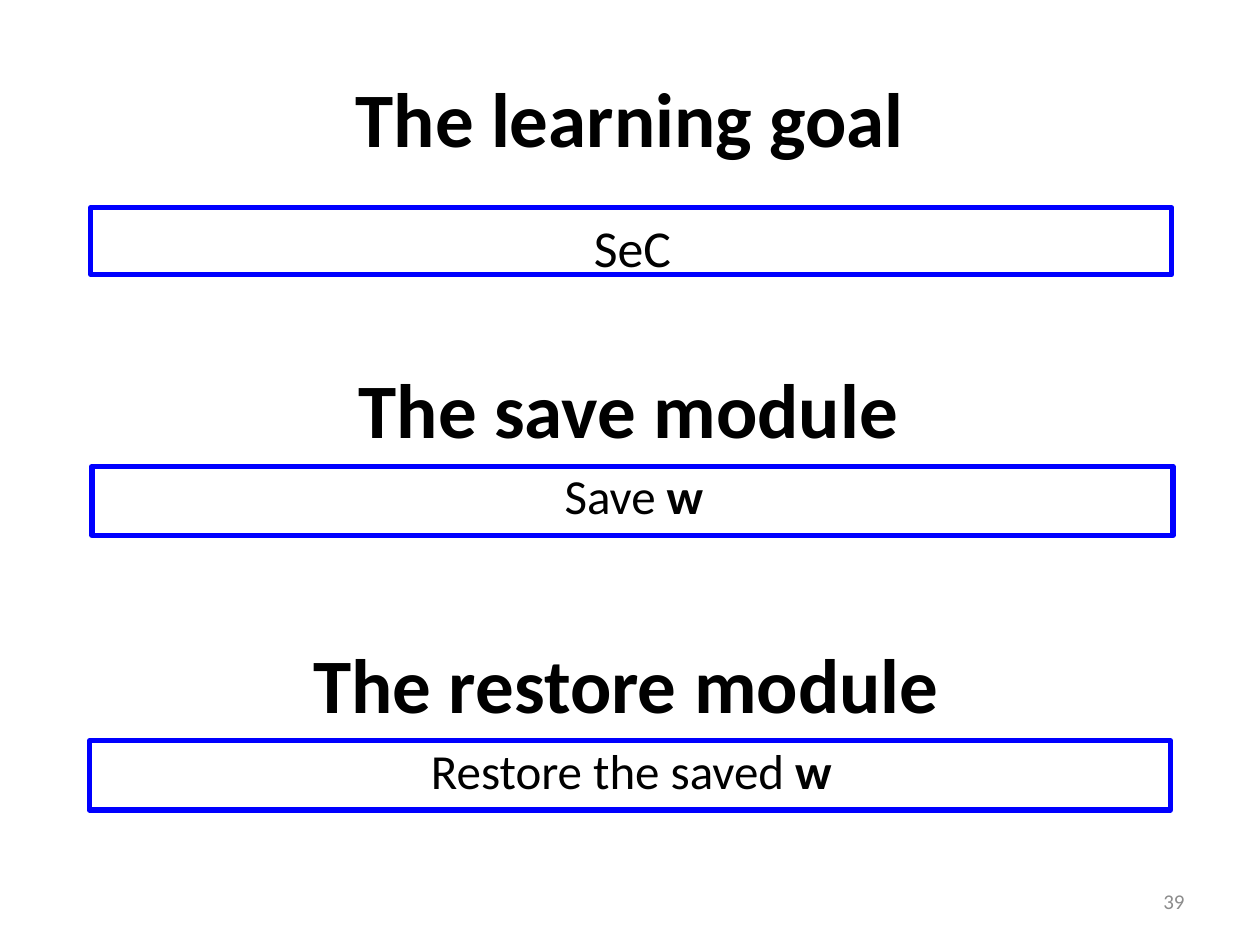
from pptx import Presentation
from pptx.dml.color import RGBColor
from pptx.enum.shapes import MSO_SHAPE
from pptx.enum.text import MSO_ANCHOR, PP_ALIGN
from pptx.util import Inches, Pt

BLACK = RGBColor(0, 0, 0)
BLUE = RGBColor(0, 0, 255)
GRAY = RGBColor(0x8C, 0x8C, 0x8C)
FONT = "Calibri"


def add_text(slide, box, parts, size, color=BLACK, align=PP_ALIGN.CENTER,
             anchor=MSO_ANCHOR.TOP, spacing=None):
    frame = slide.shapes.add_textbox(*map(Inches, box)).text_frame
    frame.word_wrap = True
    frame.vertical_anchor = anchor
    line = frame.paragraphs[0]
    line.alignment = align
    if spacing:
        line.line_spacing = spacing
    for text, bold in parts:
        run = line.add_run()
        run.text = text
        run.font.name = FONT
        run.font.size = Pt(size)
        run.font.bold = bold
        run.font.color.rgb = color


def add_title(slide, box, text, spacing=None):
    add_text(slide, box, [(text, True)], 44,
             anchor=MSO_ANCHOR.MIDDLE, spacing=spacing)


def add_frame(slide, box):
    frame = slide.shapes.add_shape(MSO_SHAPE.RECTANGLE, *map(Inches, box))
    frame.shadow.inherit = False
    frame.fill.background()
    frame.line.color.rgb = BLUE
    frame.line.width = Pt(3)


def add_module(slide, left, top, title, text):
    add_title(slide, (left - 0.04, top - 1.14, 8.62, 1.45), title, 0.9)
    add_text(slide, (left, top, 8.62, 0.63), [(text, False), ("w", True)],
             28, spacing=0.9)
    add_frame(slide, (left + 0.01, top, 8.58, 0.55))


def main():
    deck = Presentation()
    deck.slide_width = Inches(10)
    deck.slide_height = Inches(7.5)
    slide = deck.slides.add_slide(deck.slide_layouts[6])

    add_title(slide, (0.5, 0.3, 9, 1.25), "The learning goal")
    add_text(slide, (0.71, 1.66, 8.62, 0.51), [("SeC", False)], 29.6)
    add_frame(slide, (0.72, 1.65, 8.58, 0.53))

    add_module(slide, 0.72, 3.7, "The save module", "Save ")
    add_module(slide, 0.7, 5.88, "The restore module", "Restore the saved ")

    add_text(slide, (7.17, 6.95, 2.33, 0.4), [("39", False)], 12, GRAY,
             PP_ALIGN.RIGHT, MSO_ANCHOR.MIDDLE)
    deck.save("out.pptx")


if __name__ == "__main__":
    main()
